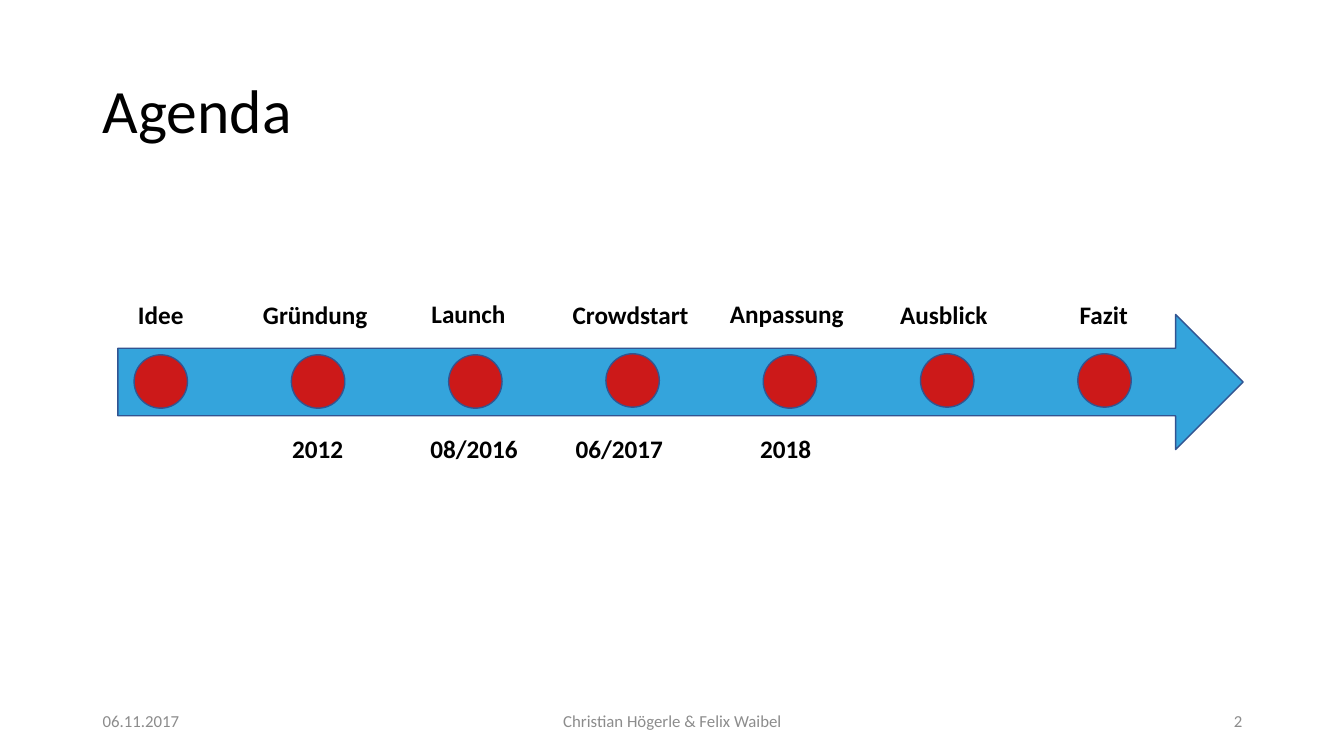
from pptx import Presentation
from pptx.dml.color import RGBColor
from pptx.enum.shapes import MSO_SHAPE
from pptx.enum.text import MSO_ANCHOR, MSO_AUTO_SIZE, PP_ALIGN
from pptx.util import Inches, Pt

ARROW, CIRCLE = MSO_SHAPE.RIGHT_ARROW, MSO_SHAPE.OVAL
LEFT, CENTER, RIGHT = PP_ALIGN.LEFT, PP_ALIGN.CENTER, PP_ALIGN.RIGHT
TOP, MIDDLE = MSO_ANCHOR.TOP, MSO_ANCHOR.MIDDLE

COLORS = {"arrow": "34A4DC", "dot": "CC1919", "outline": "325491",
          "text": "000000", "footer": "8C8C8C"}

TITLE = "Agenda"
# Dot top, then (text, left, top, width) of each label
STATIONS = [
    (3.52, [("Idee", 1.27, 2.92, 0.66)]),
    (3.52, [("Gründung", 2.51, 2.92, 1.29), ("2012", 2.8, 4.25, 0.73)]),
    (3.52, [("Launch", 4.18, 2.91, 1.08), ("08/2016", 4.17, 4.25, 1.11)]),
    (3.51, [("Crowdstart", 5.58, 2.92, 1.39), ("06/2017", 5.61, 4.25, 1.11)]),
    (3.52, [("Anpassung", 7.14, 2.91, 1.39), ("2018", 7.44, 4.25, 0.81)]),
    (3.51, [("Ausblick", 8.83, 2.92, 1.14)]),
    (3.51, [("Fazit", 10.61, 2.92, 0.7)]),
]
FOOTERS = [
    ("06.11.2017", 0.92, 3, LEFT),
    ("Christian Högerle & Felix Waibel", 4.42, 4.5, CENTER),
    ("2", 9.42, 3, RIGHT),
]

ARROW_AREA = (1.17, 3.12, 11.16, 1.34)
FIRST_DOT, DOT_STEP, DOT_SIZE = 1.33, 1.56, 0.53
TEXT_HEIGHT = 0.4
FOOTER_TOP = 6.95


def inches(values):
    return [Inches(value) for value in values]


def add_figure(shapes, kind, area, color):
    figure = shapes.add_shape(kind, *inches(area))
    figure.shadow.inherit = False
    figure.fill.solid()
    figure.fill.fore_color.rgb = RGBColor.from_string(COLORS[color])
    figure.line.color.rgb = RGBColor.from_string(COLORS["outline"])
    figure.line.width = Pt(1)


def write(box, text, size, color="text", bold=False, align=LEFT, anchor=TOP, wrap=True):
    frame = box.text_frame
    frame_format = {"auto_size": MSO_AUTO_SIZE.NONE, "word_wrap": wrap,
                    "vertical_anchor": anchor}
    for name, value in frame_format.items():
        setattr(frame, name, value)
    para = frame.paragraphs[0]
    para.alignment = align
    span = para.add_run()
    span.text = text
    for name, value in {"name": "Calibri", "size": Pt(size), "bold": bold}.items():
        setattr(span.font, name, value)
    span.font.color.rgb = RGBColor.from_string(COLORS[color])


def add_title(slide):
    title = slide.shapes.title
    area = dict(zip(("left", "top", "width", "height"), inches((0.92, 0.4, 11.5, 1.45))))
    for name, value in area.items():
        setattr(title, name, value)
    write(title, TITLE, 44, anchor=MIDDLE)
    title.text_frame.paragraphs[0].line_spacing = 0.9


def add_timeline(slide):
    shapes = slide.shapes.add_group_shape().shapes
    add_figure(shapes, ARROW, ARROW_AREA, "arrow")
    for index, (dot_top, labels) in enumerate(STATIONS):
        dot_left = FIRST_DOT + index * DOT_STEP
        add_figure(shapes, CIRCLE, (dot_left, dot_top, DOT_SIZE, DOT_SIZE), "dot")
        for text, left, top, width in labels:
            box = shapes.add_textbox(*inches((left, top, width, TEXT_HEIGHT)))
            write(box, text, 18, bold=True, wrap=False)


def add_footers(slide):
    for text, left, width, align in FOOTERS:
        box = slide.shapes.add_textbox(*inches((left, FOOTER_TOP, width, TEXT_HEIGHT)))
        write(box, text, 12, "footer", align=align, anchor=MIDDLE)


def main():
    deck = Presentation()
    deck.slide_width, deck.slide_height = Inches(13.33), Inches(7.5)
    title_only = deck.slide_layouts[5]
    slide = deck.slides.add_slide(title_only)
    add_title(slide)
    add_timeline(slide)
    add_footers(slide)
    deck.save("out.pptx")


if __name__ == "__main__":
    main()
